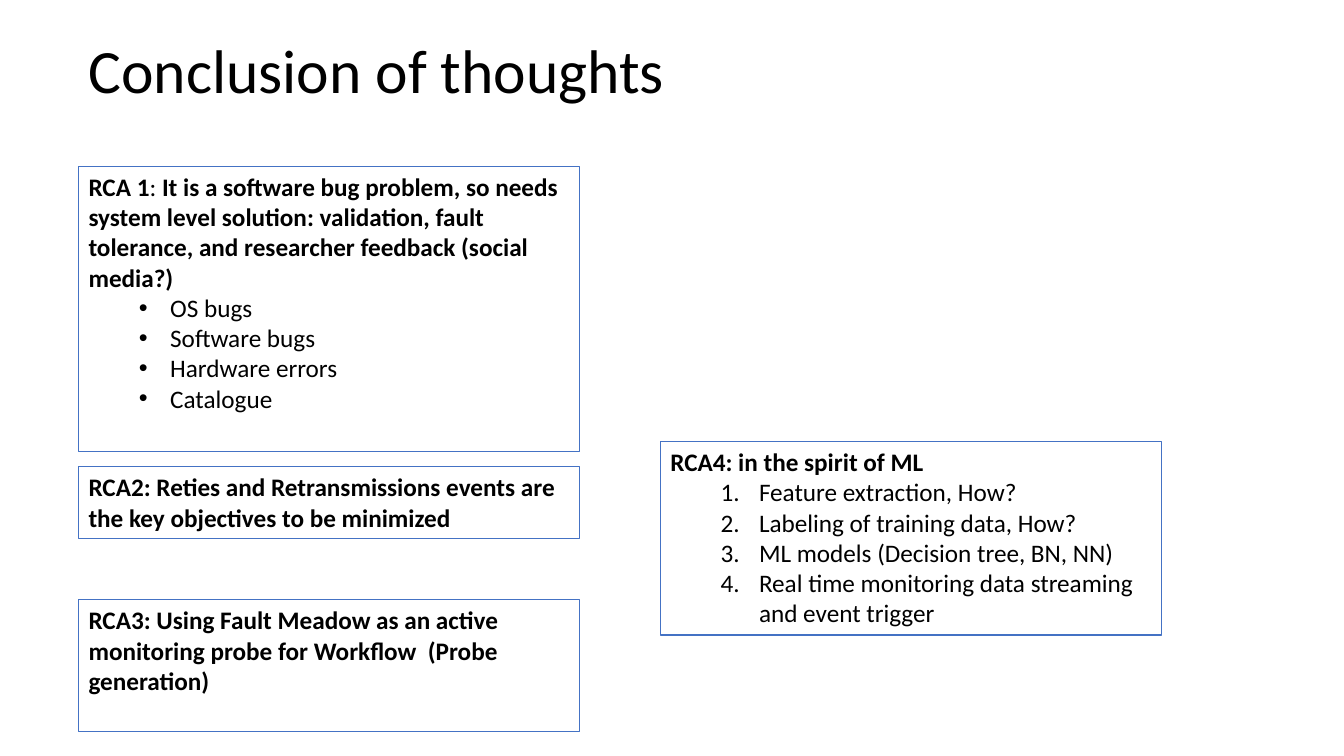
import lxml.etree
import pptx
import pptx.dml.color
import pptx.enum.shapes
import pptx.enum.text
import pptx.oxml.ns
import pptx.util

Inches = pptx.util.Inches


def color(hex_string):
    return pptx.dml.color.RGBColor.from_string(hex_string)


def add_list_marker(para, tag, indent, hanging, **attributes):
    para.level = 1
    properties = para._p.get_or_add_pPr()
    properties.set("marL", str(Inches(indent)))
    properties.set("indent", str(-Inches(hanging)))
    if tag == "buChar":
        font = lxml.etree.SubElement(properties, pptx.oxml.ns.qn("a:buFont"))
        font.set("typeface", "Arial")
    marker = lxml.etree.SubElement(properties, pptx.oxml.ns.qn("a:" + tag))
    for name, value in attributes.items():
        marker.set(name, value)


deck = pptx.Presentation()
deck.slide_width = Inches(13.33)
deck.slide_height = Inches(7.5)
page = deck.slides.add_slide(deck.slide_layouts[6])

# Title
title = page.shapes.add_textbox(Inches(0.78), Inches(0), Inches(11.5), Inches(1.45))
title.text_frame.word_wrap = True
title.text_frame.vertical_anchor = pptx.enum.text.MSO_ANCHOR.MIDDLE
title.text_frame.text = "Conclusion of thoughts"
para = title.text_frame.paragraphs[0]
para.line_spacing = 0.9
para.font.name = "Calibri"
para.font.size = pptx.util.Pt(44)
para.font.color.rgb = color("000000")

# Conclusions: left, top, height, heading spans (text, bold), list marker, items
bullet = ("buChar", 0.81, 0.31, {"char": "•"})
number = ("buAutoNum", 0.88, 0.38, {"type": "arabicPeriod"})
conclusions = [
    (0.78, 4.63, 0.71,
     [("RCA2: Reties and Retransmissions events are the key objectives to be minimized", True)],
     None, []),
    (0.78, 1.65, 2.83,
     [("RCA 1", True), (": ", False),
      ("It is a software bug problem, so needs system level solution: validation, "
       "fault tolerance, and researcher feedback (social media?)", True)],
     bullet, ["OS bugs", "Software bugs", "Hardware errors", "Catalogue"]),
    (0.78, 5.95, 1.31,
     [("RCA3: Using Fault Meadow as an active monitoring probe for Workflow  (Probe generation)", True)],
     None, []),
    (6.55, 4.38, 1.92,
     [("RCA4: in the spirit of ML", True)],
     number, ["Feature extraction, How?", "Labeling of training data, How?",
              "ML models (Decision tree, BN, NN)",
              "Real time monitoring data streaming and event trigger"]),
]

for left, top, height, heading, marker, items in conclusions:
    box = page.shapes.add_shape(pptx.enum.shapes.MSO_SHAPE.RECTANGLE,
                                Inches(left), Inches(top), Inches(4.97), Inches(height))
    box.shadow.inherit = False
    box.fill.background()
    box.line.color.rgb = color("4472C4")
    box.line.width = pptx.util.Pt(1)
    frame = box.text_frame
    frame.word_wrap = True
    frame.vertical_anchor = pptx.enum.text.MSO_ANCHOR.TOP

    # Heading
    for text, bold in heading:
        span = frame.paragraphs[0].add_run()
        span.text = text
        span.font.bold = bold

    # List
    for item in items:
        para = frame.add_paragraph()
        para.text = item
        tag, indent, hanging, attributes = marker
        add_list_marker(para, tag, indent, hanging, **attributes)

    # Shared text style
    for para in frame.paragraphs:
        para.alignment = pptx.enum.text.PP_ALIGN.LEFT
        for span in para.runs:
            span.font.name = "Calibri"
            span.font.size = pptx.util.Pt(18)
            span.font.color.rgb = color("000000")

deck.save("out.pptx")
